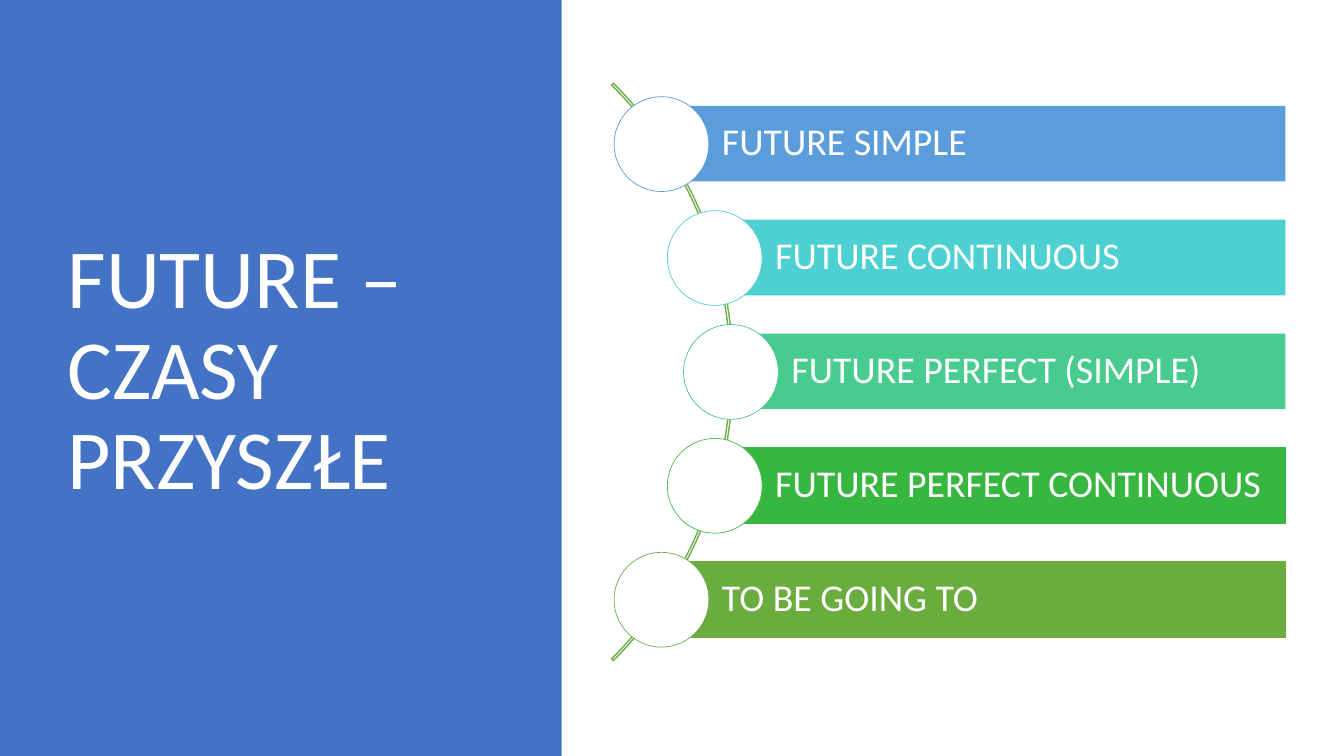
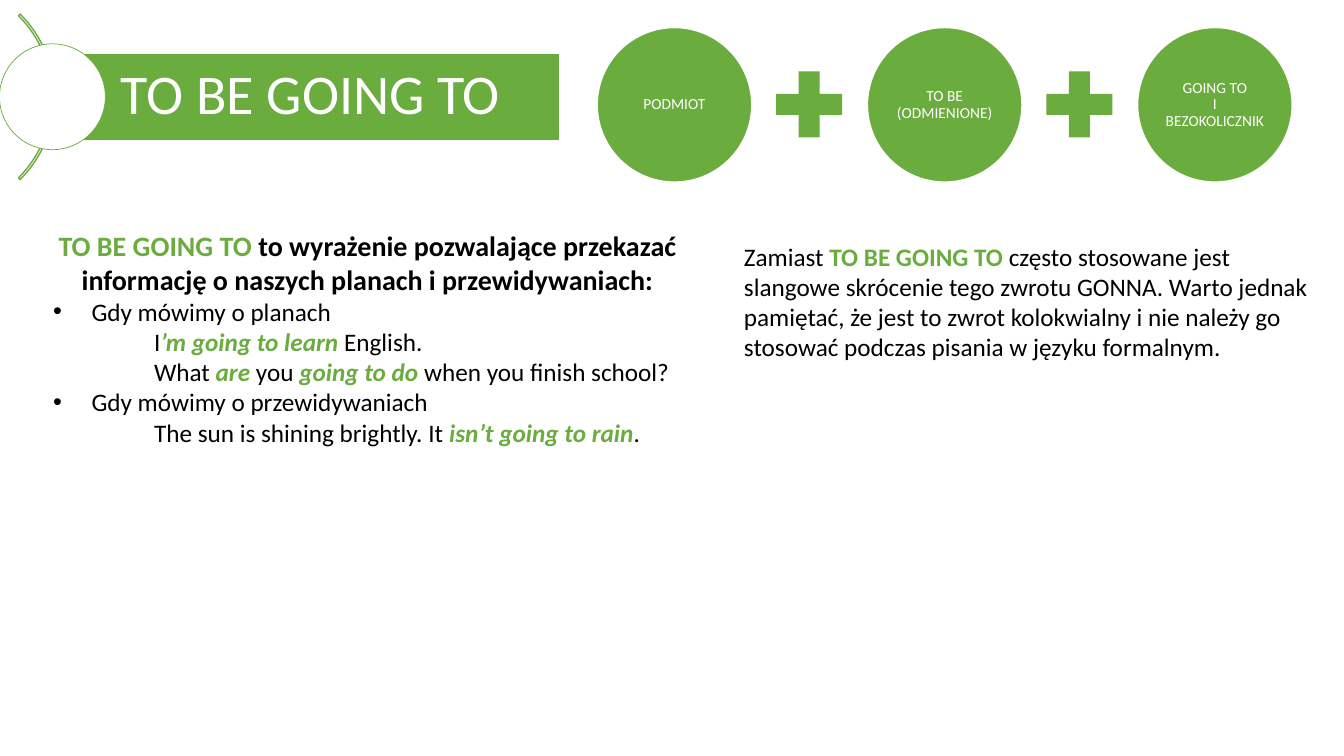
from math import sqrt

from lxml.etree import SubElement as Sub
from pptx import Presentation
from pptx.dml.color import RGBColor as RGB
from pptx.enum.shapes import MSO_SHAPE as Shape
from pptx.enum.text import MSO_ANCHOR as Anchor, MSO_AUTO_SIZE as Auto, PP_ALIGN as Align
from pptx.oxml.ns import qn
from pptx.util import Inches, Pt

WHITE = RGB(0xFF, 0xFF, 0xFF)
BLACK = RGB(0, 0, 0)
BLUE = RGB(0x44, 0x72, 0xC4)
GREEN = RGB(0x6A, 0xAC, 0x3D)
EDGE = RGB(0x6A, 0xAB, 0x3C)
LEAF = RGB(0x70, 0xAD, 0x47)

# Text formats
BODY = {"size": Pt(18), "color": BLACK}
KEY = {"size": Pt(18), "color": GREEN, "bold": True}
VERB = {**KEY, "italic": True}
HEAD = {"size": Pt(20), "color": BLACK, "bold": True}
LABEL = {"size": Pt(11), "color": WHITE}


class Deck:
    """Holds the shared style and the current slide."""

    font = "Calibri"

    def __init__(self):
        self.prs = Presentation()
        self.prs.slide_width, self.prs.slide_height = Inches(13.33), Inches(7.5)
        self.slide = None

    def paint(self, shape, fill=None, line=None, width=1):
        if fill is None:
            shape.fill.background()
        else:
            shape.fill.solid()
            shape.fill.fore_color.rgb = fill
        if line is None:
            shape.line.fill.background()
        else:
            shape.line.color.rgb = line
            shape.line.width = Pt(width)

    def frame(self, shape, pads, anchor=Anchor.MIDDLE, auto=Auto.NONE):
        frame = shape.text_frame
        frame.word_wrap = True
        sides = ("margin_left", "margin_top", "margin_right", "margin_bottom")
        for side, pad in zip(sides, pads):
            setattr(frame, side, Inches(pad))
        frame.vertical_anchor = anchor
        frame.auto_size = auto
        return frame

    def fill_in(self, para, parts, align=Align.LEFT, space=0.9):
        para.alignment = align
        para.line_spacing = space
        for text, form in parts:
            if text == "\v":
                para.add_line_break()
                continue
            run = para.add_run()
            run.text = text
            run.font.name = self.font
            for name, value in form.items():
                if name == "color":
                    run.font.color.rgb = value
                else:
                    setattr(run.font, name, value)

    def indent(self, para, left, hang=0, bullet=None):
        props = para._p.get_or_add_pPr()
        props.set("marL", str(Inches(left)))
        props.set("indent", str(Inches(-hang)))
        if bullet:
            Sub(props, qn("a:buFont")).set("typeface", "Arial")
            Sub(props, qn("a:buChar")).set("char", bullet)

    def page(self, text, box, size, pads, fill, line=None):
        """Adds a slide whose title is a filled panel."""
        self.slide = self.prs.slides.add_slide(self.prs.slide_layouts[5])
        title = self.slide.shapes.title
        title.left, title.top, title.width, title.height = map(Inches, box)
        self.paint(title, fill, line, 0.75)
        form = {"size": Pt(size), "color": WHITE}
        self.fill_in(self.frame(title, pads).paragraphs[0], [(text, form)])

    def shape(self, kind, box, **look):
        shape = self.slide.shapes.add_shape(kind, *map(Inches, box))
        shape.shadow.inherit = False
        self.paint(shape, **look)
        return shape

    def disc(self, x, y, size, **look):
        """Adds a circle around its centre."""
        return self.shape(Shape.OVAL, (x - size / 2, y - size / 2, size, size), **look)

    def arc(self, x, y, size, thick, line):
        box = (x - size / 2, y - size / 2, size, size)
        arc = self.shape(Shape.BLOCK_ARC, box, line=line)
        for i, value in enumerate((189, 27, thick)):
            arc.adjustments[i] = value

    def bar(self, text, box, **look):
        bar = self.shape(Shape.RECTANGLE, box, **look)
        form = {"size": Pt(27), "color": WHITE}
        frame = self.frame(bar, (0.6, 0.07, 0.07, 0.07))
        self.fill_in(frame.paragraphs[0], [(text, form)])

    def note(self, box, paras):
        """Adds a text box; each entry is parts, alignment, indent."""
        note = self.slide.shapes.add_textbox(*map(Inches, box))
        frame = self.frame(note, (0.1, 0.05, 0.1, 0.05), Anchor.TOP, Auto.SHAPE_TO_FIT_TEXT)
        for i, (parts, align, dent) in enumerate(paras):
            para = frame.add_paragraph() if i else frame.paragraphs[0]
            self.indent(para, *dent)
            self.fill_in(para, parts, align, 1.0)


def tenses(deck):
    deck.page("FUTURE – CZASY PRZYSZŁE", (0, 0, 5.57, 7.5), 60,
              (0.67, 0.05, 0.94, 0.17), BLUE)

    # Bars start on the arc
    mid_x, mid_y, reach = 3.2, 3.69, 4.05
    deck.arc(mid_x + 0.02, mid_y, 2 * reach, 0.003, LEAF)
    rows = [
        ("FUTURE SIMPLE", RGB(0x5B, 0x9D, 0xDB), None, RGB(0x5B, 0x9B, 0xD5)),
        ("FUTURE CONTINUOUS", RGB(0x4C, 0xD0, 0xD1), None, RGB(0x54, 0xCC, 0xCD)),
        ("FUTURE PERFECT (SIMPLE)", RGB(0x47, 0xCB, 0x8E), None, RGB(0x4D, 0xC5, 0x8D)),
        ("FUTURE PERFECT CONTINUOUS", RGB(0x38, 0xB7, 0x40),
         RGB(0x38, 0xB5, 0x40), RGB(0x48, 0xBB, 0x4F)),
        ("TO BE GOING TO", GREEN, EDGE, LEAF),
    ]
    for i, (text, fill, line, ring) in enumerate(rows):
        drop = (i - 2) * 1.13
        x, y = mid_x + sqrt(reach ** 2 - drop ** 2), mid_y + drop
        deck.bar(text, (x, y - 0.38, 12.75 - x, 0.75), fill=fill, line=line, width=0.75)
        deck.disc(x, y, 0.94, fill=WHITE, line=ring, width=0.5)


def going(deck):
    deck.page("TO BE GOING TO", (0.52, 0.54, 5.02, 0.84), 40,
              (0.68, 0.11, 0.11, 0.11), GREEN, EDGE)
    deck.arc(-0.62, 0.96, 2.32, 0.01, EDGE)
    deck.disc(0.52, 0.96, 1.05, fill=WHITE, line=EDGE, width=0.5)

    # Formula: circles joined by plus signs
    terms = [["PODMIOT"], ["TO BE (ODMIENIONE)"], ["GOING TO", "\v", "I BEZOKOLICZNIK"]]
    for i, term in enumerate(terms):
        x = 6.69 + 2.68 * i
        disc = deck.disc(x, 1.04, 1.54, fill=GREEN, line=WHITE, width=1.5)
        frame = deck.frame(disc, (0.02,) * 4)
        deck.fill_in(frame.paragraphs[0], [(text, LABEL) for text in term], Align.CENTER)
        if i:
            deck.shape(Shape.MATH_PLUS, (x - 1.79, 0.59, 0.89, 0.89), fill=GREEN)

    # Uses with examples
    left, flat, deep, dot = Align.LEFT, (0,), (1,), (0.38, 0.38, "•")
    deck.note((0.43, 2.22, 6.43, 2.59), [
        ([("TO BE GOING TO", {**HEAD, "color": GREEN}),
          (" to wyrażenie pozwalające przekazać informację o naszych planach"
           " i przewidywaniach:", HEAD)], Align.CENTER, flat),
        ([("Gdy mówimy o planach", BODY)], left, dot),
        ([("I", BODY), ("’m going to learn ", VERB), ("English.", BODY)], left, deep),
        ([("What ", BODY), ("are ", VERB), ("you ", BODY), ("going to do ", VERB),
          ("when you finish school?", BODY)], left, deep),
        ([("Gdy mówimy o przewidywaniach", BODY)], left, dot),
        ([("The sun is shining brightly. It ", BODY), ("isn’t going to rain", VERB),
          (".", BODY)], left, deep),
    ])

    # Remark on slang
    deck.note((7.28, 2.34, 5.79, 1.62), [
        ([("Zamiast ", BODY), ("TO BE GOING TO ", KEY),
          ("często stosowane jest slangowe skrócenie tego zwrotu GONNA. Warto jednak"
           " pamiętać, że jest to zwrot kolokwialny i nie należy go stosować podczas"
           " pisania w języku formalnym.", BODY)], left, flat),
    ])


def main():
    deck = Deck()
    tenses(deck)
    going(deck)
    deck.prs.save("out.pptx")


if __name__ == "__main__":
    main()
